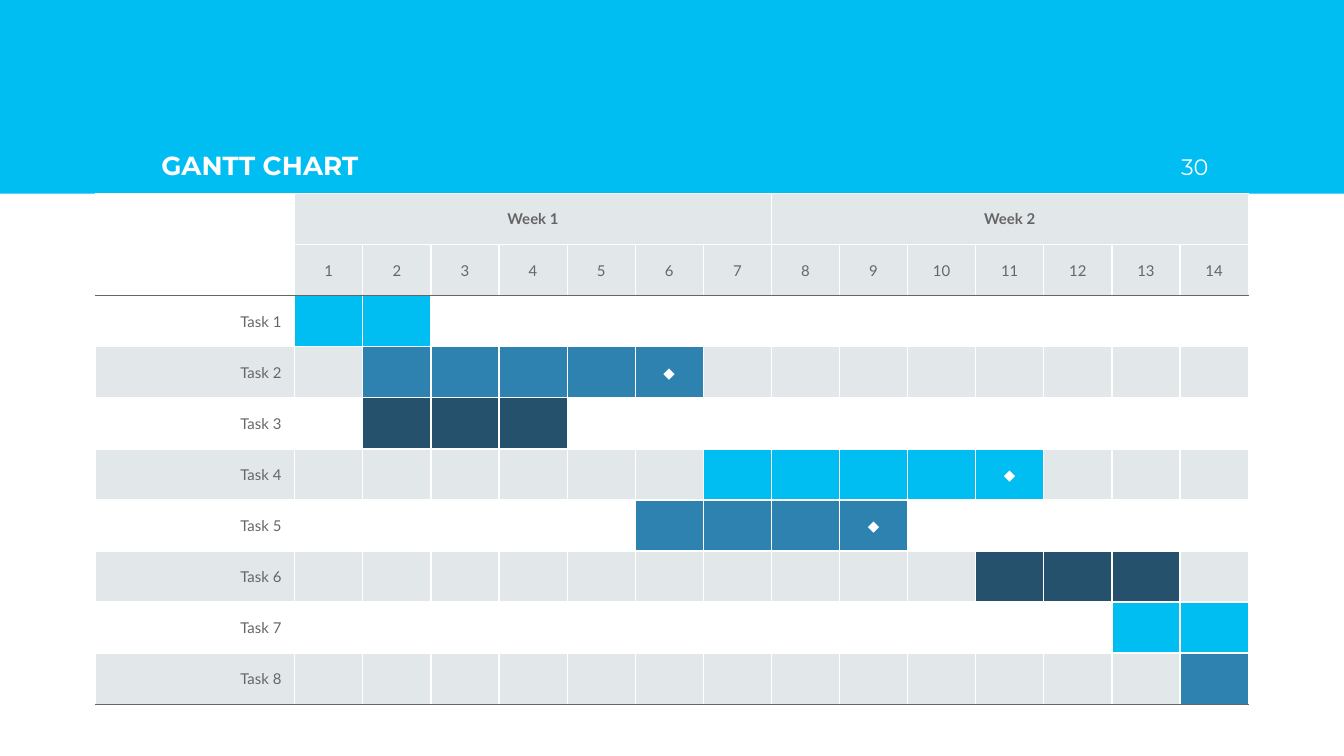
from lxml.etree import SubElement
from pptx import Presentation
from pptx.dml.color import RGBColor
from pptx.enum.shapes import MSO_SHAPE as Shape
from pptx.enum.text import MSO_ANCHOR as Anchor, PP_ALIGN as Align
from pptx.oxml.ns import qn
from pptx.util import Cm, Pt

TITLE = "GANTT CHART"
PAGE_NUMBER = "30"
WEEKS = ["Week 1", "Week 2"]
DAYS_PER_WEEK = 7
# name, first day, last day, colour, ends with a milestone
TASKS = [
    ("Task 1", 1, 2, "cyan", False),
    ("Task 2", 2, 6, "blue", True),
    ("Task 3", 2, 4, "navy", False),
    ("Task 4", 7, 11, "cyan", True),
    ("Task 5", 6, 9, "blue", True),
    ("Task 6", 11, 13, "navy", False),
    ("Task 7", 13, 14, "cyan", False),
    ("Task 8", 14, 14, "blue", False),
]
MILESTONE = "◆"

COLORS = {
    "cyan": "00BEF2",
    "blue": "2D82B0",
    "navy": "25516C",
    "band": "E2E7E9",
    "text": "666666",
    "white": "FFFFFF",
}
HEADER_ROWS = 2
DAY_COUNT = len(WEEKS) * DAYS_PER_WEEK
ROW_COUNT = HEADER_ROWS + len(TASKS)
BANNER_HEIGHT = Cm(3.66)
TABLE_LEFT = Cm(1.81)
TABLE_HEIGHT = Cm(9.65)
LABEL_WIDTH = Cm(3.76)
DAYS_WIDTH = Cm(18.02)


def rgb(name):
    return RGBColor.from_string(COLORS[name])


def add_run(paragraph, text, font_name, size, color, bold=False):
    run = paragraph.add_run()
    run.text = text
    run.font.name = font_name
    run.font.size = Pt(size)
    run.font.bold = bold
    run.font.color.rgb = rgb(color)


def add_banner_text(slide, left, width, text, size, align, bold):
    box = slide.shapes.add_textbox(left, Cm(1.8), width, BANNER_HEIGHT - Cm(1.8))
    frame = box.text_frame
    frame.word_wrap = True
    frame.vertical_anchor = Anchor.BOTTOM
    frame.margin_left = frame.margin_right = Cm(0.25)
    frame.margin_top = frame.margin_bottom = Cm(0.25)
    paragraph = frame.paragraphs[0]
    paragraph.alignment = align
    add_run(paragraph, text, "Montserrat", size, "white", bold)


def write_cell(cell, text, align=Align.CENTER, color="text", bold=False):
    paragraph = cell.text_frame.paragraphs[0]
    paragraph.alignment = align
    add_run(paragraph, text, "Lato", 8, color, bold)


def style_cell(cell, fill, top, bottom):
    """Set margins, borders and fill; the borders must precede the fill in the XML."""
    cell.vertical_anchor = Anchor.MIDDLE
    cell.margin_left = cell.margin_right = Cm(0.25)
    cell.margin_top = cell.margin_bottom = 0
    properties = cell._tc.get_or_add_tcPr()
    for side, color in (("L", "white"), ("R", "white"), ("T", top), ("B", bottom)):
        line = SubElement(properties, qn(f"a:ln{side}"), w=str(Pt(0.75)))
        solid = SubElement(line, qn("a:solidFill"))
        SubElement(solid, qn("a:srgbClr"), val=COLORS[color])
    if fill:
        cell.fill.solid()
        cell.fill.fore_color.rgb = rgb(fill)
    else:
        cell.fill.background()


def cell_fill(row, day):
    """Day 0 is the label column."""
    if row < HEADER_ROWS:
        return "band" if day else None
    index = row - HEADER_ROWS
    _, first, last, color, _ = TASKS[index]
    if first <= day <= last:
        return color
    return "band" if index % 2 else None


def add_gantt_table(slide):
    frame = slide.shapes.add_table(
        ROW_COUNT, DAY_COUNT + 1, TABLE_LEFT, BANNER_HEIGHT,
        LABEL_WIDTH + DAYS_WIDTH, TABLE_HEIGHT)
    table = frame.table
    table.first_row = table.horz_banding = False
    for row in table.rows:
        row.height = TABLE_HEIGHT // ROW_COUNT
    for day, column in enumerate(table.columns):
        column.width = DAYS_WIDTH // DAY_COUNT if day else LABEL_WIDTH

    ruled_rows = (HEADER_ROWS - 1, ROW_COUNT - 1)
    for row in range(ROW_COUNT):
        top = "text" if row - 1 in ruled_rows else "white"
        bottom = "text" if row in ruled_rows else "white"
        for day in range(DAY_COUNT + 1):
            style_cell(table.cell(row, day), cell_fill(row, day), top, bottom)

    for index, week in enumerate(WEEKS):
        first = 1 + index * DAYS_PER_WEEK
        table.cell(0, first).merge(table.cell(0, first + DAYS_PER_WEEK - 1))
        write_cell(table.cell(0, first), week, bold=True)
    for day in range(1, DAY_COUNT + 1):
        write_cell(table.cell(1, day), str(day))
    for row, (name, _, last, _, milestone) in enumerate(TASKS, HEADER_ROWS):
        write_cell(table.cell(row, 0), name, Align.RIGHT)
        if milestone:
            write_cell(table.cell(row, last), MILESTONE, color="white")


def main():
    presentation = Presentation()
    presentation.slide_width = Cm(25.4)
    presentation.slide_height = Cm(14.29)
    slide = presentation.slides.add_slide(presentation.slide_layouts[6])

    banner = slide.shapes.add_shape(
        Shape.RECTANGLE, 0, 0, presentation.slide_width, BANNER_HEIGHT)
    banner.shadow.inherit = False
    banner.fill.solid()
    banner.fill.fore_color.rgb = rgb("cyan")
    banner.line.fill.background()

    add_banner_text(slide, Cm(2.8), Cm(19.8), TITLE, 14, Align.LEFT, True)
    add_banner_text(slide, Cm(21.56), Cm(1.53), PAGE_NUMBER, 12, Align.RIGHT, False)
    add_gantt_table(slide)
    presentation.save("out.pptx")


if __name__ == "__main__":
    main()
